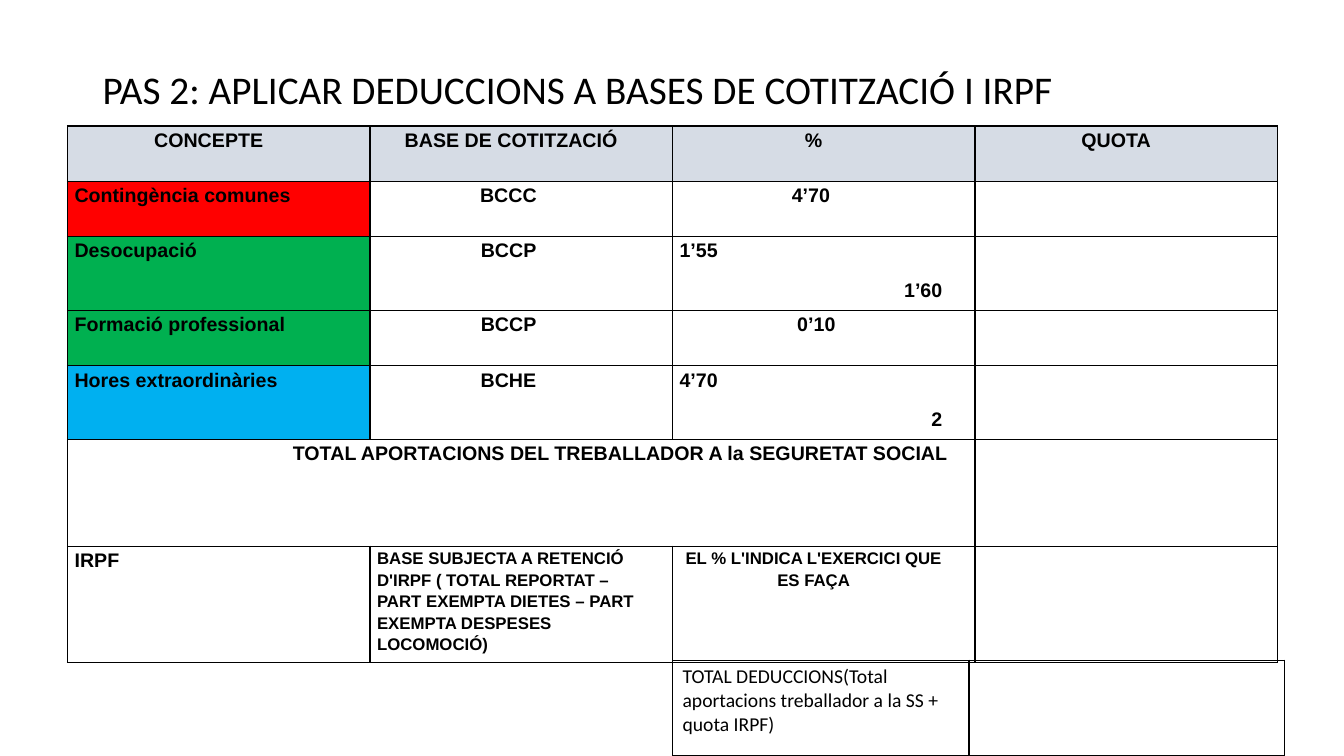
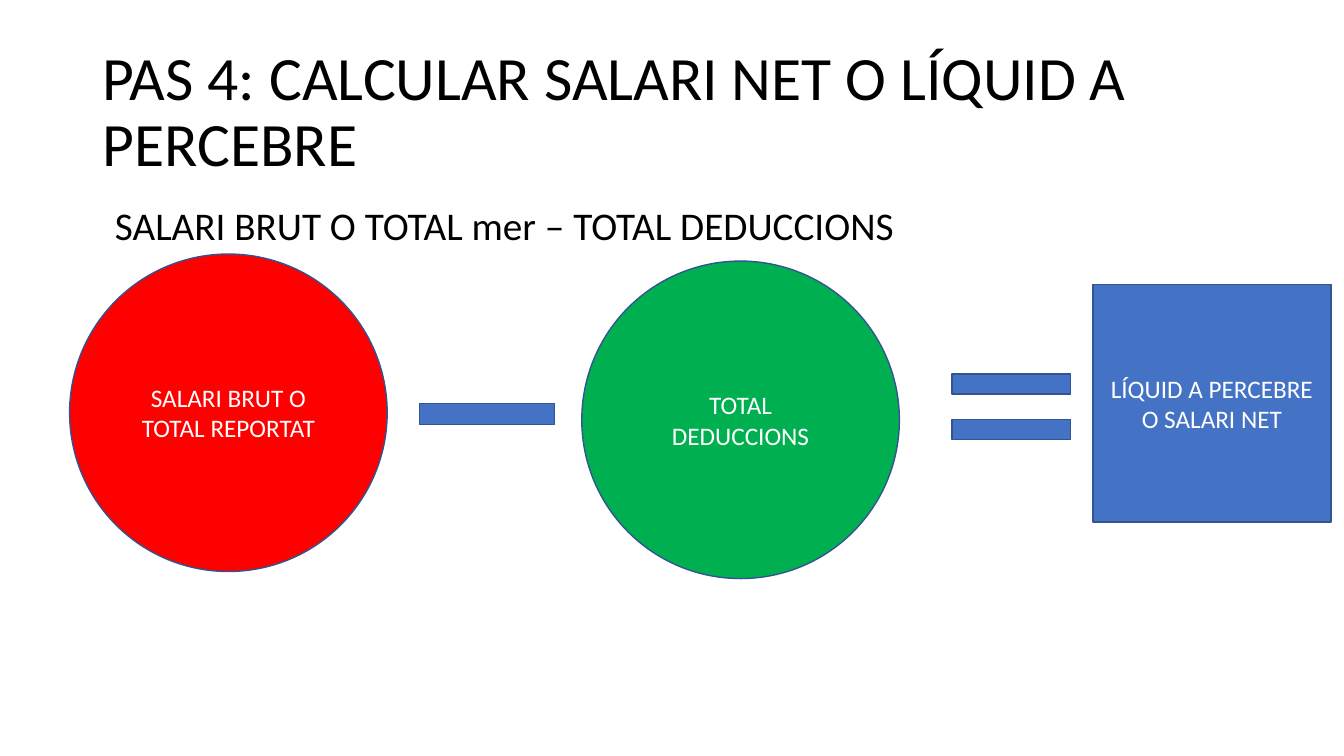
import pptx
import pptx.util
import pptx.dml.color
import pptx.enum.shapes
import pptx.enum.text
import lxml.etree
from pptx.util import Inches

RGBColor = pptx.dml.color.RGBColor
ALIGN = pptx.enum.text.PP_ALIGN
ANCHOR = pptx.enum.text.MSO_ANCHOR
SHAPE = pptx.enum.shapes.MSO_SHAPE

BLACK = RGBColor(0x00, 0x00, 0x00)
WHITE = RGBColor(0xFF, 0xFF, 0xFF)
HEADER_GREY = RGBColor(0xD6, 0xDC, 0xE5)
RED = RGBColor(0xFF, 0x00, 0x00)
GREEN = RGBColor(0x00, 0xB0, 0x50)
SKY = RGBColor(0x00, 0xB0, 0xF0)
BLUE = RGBColor(0x44, 0x72, 0xC4)
OUTLINE = RGBColor(0x32, 0x54, 0x91)

BODY_FONT = "Calibri"
TABLE_FONT = "Arial"
DRAWING_NS = "http://schemas.openxmlformats.org/drawingml/2006/main"

LEFT, CENTER, RIGHT = ALIGN.LEFT, ALIGN.CENTER, ALIGN.RIGHT

DEDUCTION_HEADERS = ["CONCEPTE", "BASE DE COTITZACIÓ", "%", "QUOTA"]
DEDUCTIONS = [
    ("Contingència comunes", RED, "BCCC ", [("4’70 ", CENTER)]),
    ("Desocupació", GREEN, "BCCP ", [("1’55", LEFT), ("1’60 ", RIGHT)]),
    ("Formació professional", GREEN, "BCCP ", [(" 0’10", CENTER)]),
    ("Hores extraordinàries", SKY, "BCHE ", [("4’70", LEFT), ("2 ", RIGHT)]),
]
SOCIAL_SECURITY_TOTAL = "TOTAL APORTACIONS DEL TREBALLADOR A la SEGURETAT SOCIAL"
IRPF_BASE = ("BASE SUBJECTA A RETENCIÓ D'IRPF ( TOTAL REPORTAT – "
             "PART EXEMPTA DIETES – PART EXEMPTA DESPESES LOCOMOCIÓ)")
IRPF_RATE = "EL % L'INDICA L'EXERCICI QUE ES FAÇA"
DEDUCTIONS_TOTAL = "TOTAL DEDUCCIONS(Total aportacions treballador a la SS + quota IRPF)"


def style(paragraph, size, color=BLACK, font=BODY_FONT, bold=False, align=LEFT):
    paragraph.alignment = align
    for run in paragraph.runs:
        run.font.size = pptx.util.Pt(size)
        run.font.name = font
        run.font.bold = bold
        run.font.color.rgb = color


def add_text(slide, text, top, height, size, indent=0, anchor=ANCHOR.TOP):
    box = slide.shapes.add_textbox(Inches(0.92), Inches(top), Inches(11.5), Inches(height))
    frame = box.text_frame
    frame.word_wrap = True
    frame.vertical_anchor = anchor
    frame.margin_left = Inches(0.1 + indent)
    frame.text = text
    frame.paragraphs[0].line_spacing = 0.9
    style(frame.paragraphs[0], size)


def add_title(slide, text, size, height=1.45):
    add_text(slide, text, 0.4, height, size, anchor=ANCHOR.MIDDLE)


def add_block(slide, kind, left, top, width, height, fill=BLUE, label=None):
    block = slide.shapes.add_shape(
        kind, Inches(left), Inches(top), Inches(width), Inches(height))
    block.shadow.inherit = False
    block.fill.solid()
    block.fill.fore_color.rgb = fill
    block.line.color.rgb = OUTLINE
    block.line.width = pptx.util.Pt(1)
    if label:
        frame = block.text_frame
        frame.word_wrap = True
        frame.vertical_anchor = ANCHOR.MIDDLE
        frame.text = label
        style(frame.paragraphs[0], 18, WHITE, align=CENTER)


def border_cell(cell):
    properties = cell._tc.get_or_add_tcPr()
    for side in ("lnL", "lnR", "lnT", "lnB"):
        properties.append(lxml.etree.fromstring(
            f'<a:{side} xmlns:a="{DRAWING_NS}" w="12700"><a:solidFill>'
            f'<a:srgbClr val="{BLACK}"/></a:solidFill></a:{side}>'))


def add_grid(slide, left, top, widths, heights):
    grid = slide.shapes.add_table(
        len(heights), len(widths), Inches(left), Inches(top),
        Inches(sum(widths)), Inches(sum(heights))).table
    grid.first_row = False
    grid.horz_banding = False
    for column, width in zip(grid.columns, widths):
        column.width = Inches(width)
    for row, height in zip(grid.rows, heights):
        row.height = Inches(height)
    for cell in grid.iter_cells():
        border_cell(cell)
        cell.fill.background()
    return grid


def fill_cell(cell, lines, size=14, fill=None):
    cell.margin_left = Inches(0.07)
    cell.margin_right = Inches(0.27)
    cell.margin_top = cell.margin_bottom = 0
    if fill is not None:
        cell.fill.solid()
        cell.fill.fore_color.rgb = fill
    cell.text_frame.text = "\n".join(text for text, _ in lines)
    for paragraph, (_, align) in zip(cell.text_frame.paragraphs, lines):
        paragraph.line_spacing = 1.15
        paragraph.space_after = pptx.util.Pt(10)
        style(paragraph, size, font=TABLE_FONT, bold=True, align=align)


def add_deductions(slide):
    grid = add_grid(slide, 0.67, 1.25, [3] * 4, [0.55, 0.55, 0.73, 0.55, 0.73, 1.06, 1.04])
    for column, header in enumerate(DEDUCTION_HEADERS):
        fill_cell(grid.cell(0, column), [(header, CENTER)], fill=HEADER_GREY)
    for row, (concept, color, base, rates) in enumerate(DEDUCTIONS, start=1):
        fill_cell(grid.cell(row, 0), [(concept, LEFT)], fill=color)
        fill_cell(grid.cell(row, 1), [(base, CENTER)])
        fill_cell(grid.cell(row, 2), rates)
    grid.cell(5, 0).merge(grid.cell(5, 2))
    fill_cell(grid.cell(5, 0), [(SOCIAL_SECURITY_TOTAL, RIGHT)])
    fill_cell(grid.cell(6, 0), [("IRPF", LEFT)])
    fill_cell(grid.cell(6, 1), [(IRPF_BASE, LEFT)], size=12)
    fill_cell(grid.cell(6, 2), [(IRPF_RATE, CENTER)], size=12)


def add_deductions_total(slide):
    total = add_grid(slide, 6.67, 6.55, [2.94, 3.13], [0.95]).cell(0, 0)
    total.text_frame.text = DEDUCTIONS_TOTAL
    style(total.text_frame.paragraphs[0], 14)


def add_net_salary_equation(slide):
    add_block(slide, SHAPE.OVAL, 0.69, 2.52, 3.15, 3.15, RED, "SALARI BRUT O TOTAL REPORTAT")
    add_block(slide, SHAPE.RECTANGLE, 4.16, 4, 1.34, 0.21)
    add_block(slide, SHAPE.OVAL, 5.77, 2.59, 3.15, 3.15, GREEN, "TOTAL DEDUCCIONS")
    for equals_bar_top in (3.71, 4.16):
        add_block(slide, SHAPE.RECTANGLE, 9.44, equals_bar_top, 1.18, 0.2)
    add_block(slide, SHAPE.RECTANGLE, 10.84, 2.82, 2.36, 2.36,
              label="LÍQUID A PERCEBRE O SALARI NET")


def main():
    deck = pptx.Presentation()
    deck.slide_width = Inches(13.33)
    deck.slide_height = Inches(7.5)
    blank = deck.slide_layouts[6]

    deductions = deck.slides.add_slide(blank)
    add_title(deductions, "PAS 2: APLICAR DEDUCCIONS A BASES DE COTITZACIÓ I IRPF", 28, 1.02)
    add_deductions(deductions)
    add_deductions_total(deductions)

    net_salary = deck.slides.add_slide(blank)
    add_title(net_salary, "PAS 4: CALCULAR SALARI NET O LÍQUID A PERCEBRE", 44)
    add_text(net_salary, "SALARI BRUT O TOTAL mer – TOTAL DEDUCCIONS", 2, 4.76, 28, indent=0.12)
    add_net_salary_equation(net_salary)

    deck.save("out.pptx")


if __name__ == "__main__":
    main()
